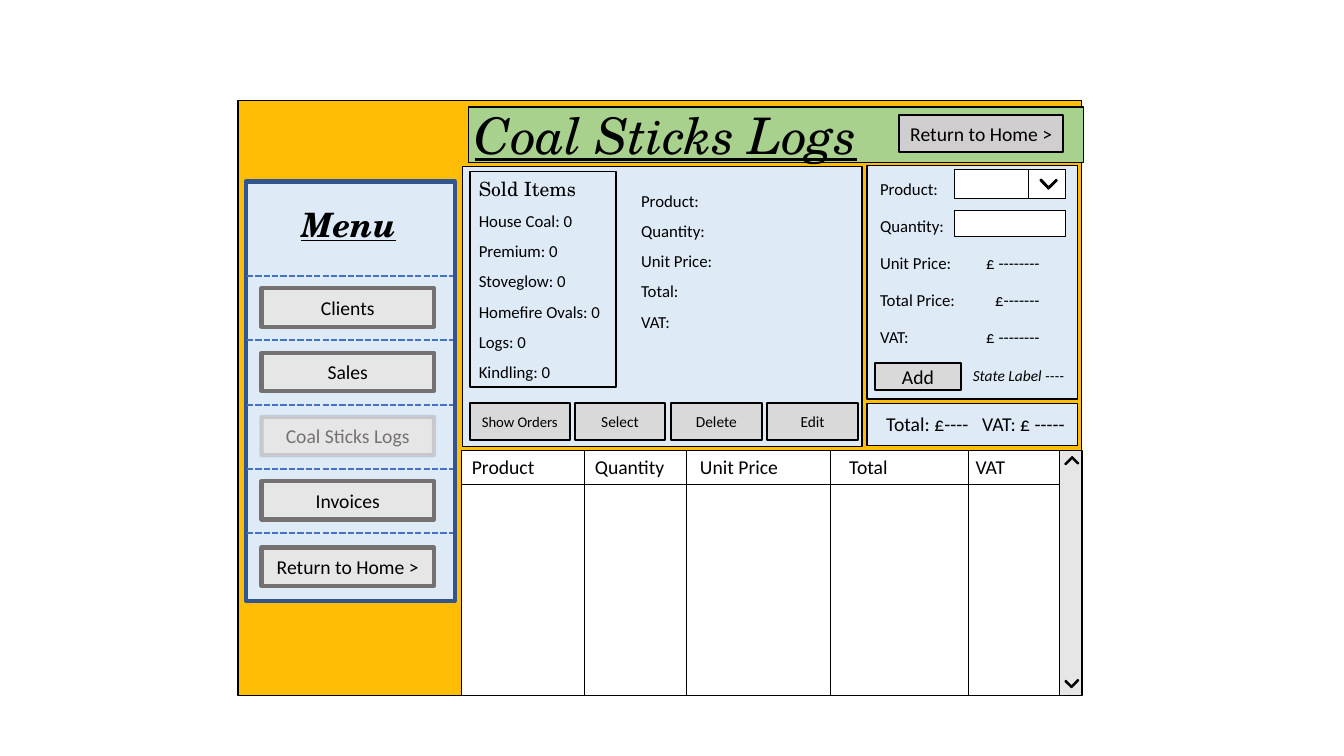
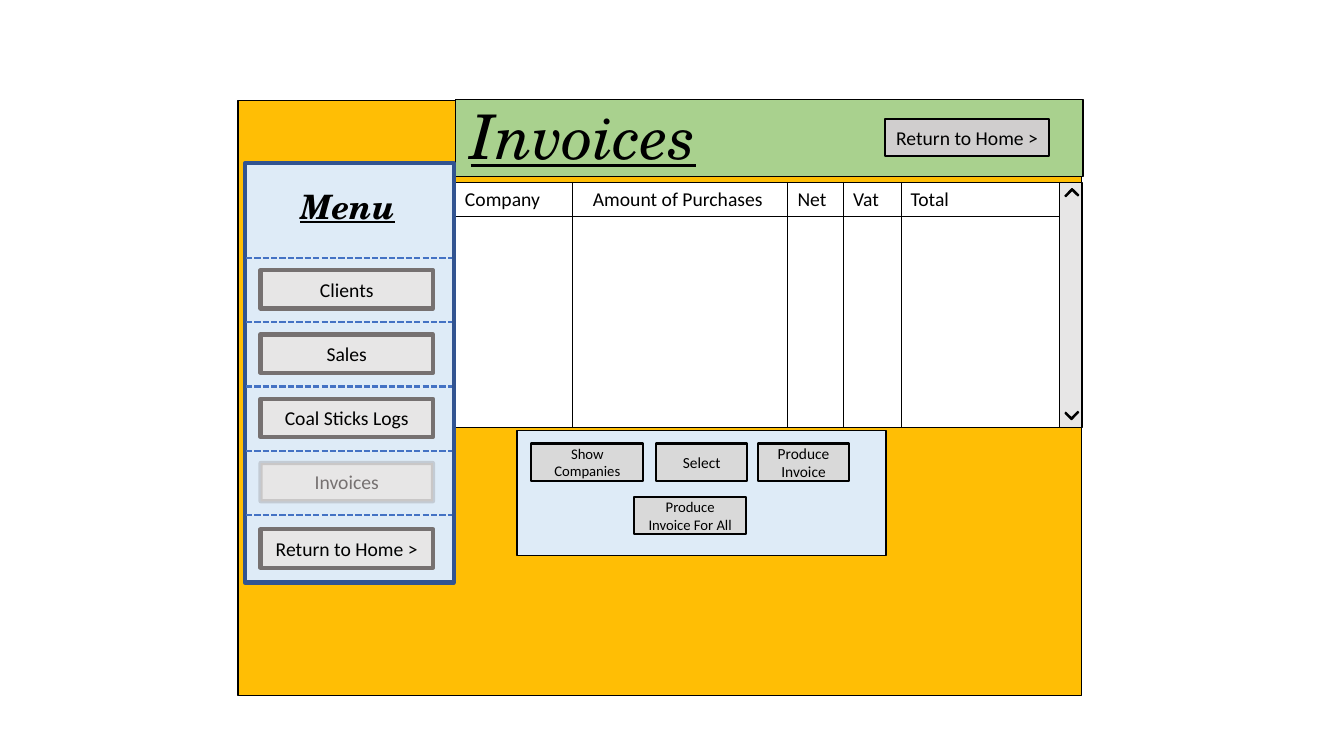
from itertools import pairwise

from lxml.etree import SubElement
from pptx import Presentation
from pptx.dml.color import RGBColor
from pptx.enum.dml import MSO_LINE
from pptx.enum.shapes import MSO_CONNECTOR, MSO_SHAPE
from pptx.enum.text import MSO_ANCHOR, PP_ALIGN
from pptx.oxml.ns import qn
from pptx.util import Inches, Pt

BLACK, WHITE = "000000", "FFFFFF"
AMBER, GREEN, PALE = "FFBE05", "A9D18E", "DEEBF7"
NAVY, BLUE = "325491", "4472C4"
GREY, SILVER, MIST, SLATE = "D9D9D9", "D0CECE", "E7E6E6", "767171"
SERIF, SANS = "TeX Gyre Schola", "Calibri"
LEFT, MID, RIGHT = PP_ALIGN.LEFT, PP_ALIGN.CENTER, PP_ALIGN.RIGHT

deck = Presentation()
deck.slide_width, deck.slide_height = Inches(13.33), Inches(7.5)
CELL = deck.slide_height / 90  # the grid has 160 columns and 90 rows


def box(page, at, fill=None, line=None, weight=1, text="", size=12, face=SANS,
        ink=BLACK, align=LEFT, lead=None, after=0, kind=MSO_SHAPE.RECTANGLE):
    """Add a shape, or a text box if there is no fill; at is in grid cells."""
    place = [round(n * CELL) for n in at]
    if fill:
        shape = page.shapes.add_shape(kind, *place)
        shape.shadow.inherit = False
        shape.fill.solid()
        shape.fill.fore_color.rgb = RGBColor.from_string(fill)
        if line:
            shape.line.color.rgb = RGBColor.from_string(line)
            shape.line.width = Pt(weight)
        else:
            shape.line.fill.background()
    else:
        shape = page.shapes.add_textbox(*place)
    if text:
        frame = shape.text_frame
        frame.word_wrap = True
        frame.text = text
        frame.vertical_anchor = MSO_ANCHOR.MIDDLE if align == MID else MSO_ANCHOR.TOP
        for para in frame.paragraphs:
            para.alignment = align
            para.space_after = Pt(after)
            if lead:
                para.line_spacing = Pt(lead)
            para.font.size, para.font.name = Pt(size), face
            para.font.color.rgb = RGBColor.from_string(ink)
    return shape


def rule(page, ends, ink=BLACK, weight=0.5):
    """Add a straight line from x, y to x, y in grid cells."""
    line = page.shapes.add_connector(MSO_CONNECTOR.STRAIGHT,
                                     *[round(n * CELL) for n in ends])
    line.line.color.rgb = RGBColor.from_string(ink)
    line.line.width = Pt(weight)
    SubElement(line._element.spPr, qn("a:effectLst"))
    return line


# title, title size, bar, title box, home button, menu corner,
# table top, column edges, (heading, inset) pairs
screens = [
    ("Coal Sticks Logs", 36, (55.8, 12.72, 73.2, 6.6), (55.32, 11.76, 59.52, 8.52),
     (107.04, 13.68), (29.28, 21.6),
     53.64, (54.96, 69.6, 81.72, 98.88, 115.32, 126.12),
     (("Product", 1.2), ("Quantity", 1.2), ("Unit Price", 1.6), ("Total", 2.2),
      ("VAT", 0.8))),
    ("Invoices", 44, (54.24, 11.88, 74.64, 9.12), (54.84, 11.04, 36, 10.08),
     (105.36, 14.16), (29.16, 19.44),
     21.72, (54.24, 68.16, 93.72, 100.44, 107.28, 126.12),
     (("Company", 1.1), ("Amount of Purchases", 2.4), ("Net", 1.2), ("Vat", 1.1),
      ("Total", 1.1))),
]
HEAD, BODY = 4.08, 25.08
MENU = ("Clients", "Sales", "Coal Sticks Logs", "Invoices", "Return to Home >")
pages = []

for title, size, bar, name, home, menu, top, edges, heads in screens:
    page = deck.slides.add_slide(deck.slide_layouts[6])
    pages.append(page)
    box(page, (28.32, 12, 100.44, 70.8), AMBER, BLACK)

    # Table
    place = [round(n * CELL) for n in (edges[0], top, edges[-1] - edges[0], HEAD + BODY)]
    table = page.shapes.add_table(2, len(heads), *place).table
    table.first_row = table.horz_banding = False
    for row, high in zip(table.rows, (HEAD, BODY)):
        row.height = round(high * CELL)
    for col, (start, end) in zip(table.columns, pairwise(edges)):
        col.width = round((end - start) * CELL)
    for cell in table.iter_cells():
        props = cell._tc.get_or_add_tcPr()
        for side in "LRTB":
            edge = SubElement(props, qn(f"a:ln{side}"), w=str(Pt(0.75)))
            paint = SubElement(edge, qn("a:solidFill"))
            SubElement(paint, qn("a:srgbClr"), val=BLACK)
        cell.fill.solid()
        cell.fill.fore_color.rgb = RGBColor.from_string(WHITE)
    for cell, (head, inset) in zip(table.rows[0].cells, heads):
        cell.text = head
        cell.margin_left, cell.margin_right = round(inset * CELL), 0
        font = cell.text_frame.paragraphs[0].font
        font.size, font.name = Pt(14), SANS
        font.color.rgb = RGBColor.from_string(BLACK)

    # Scroll bar
    box(page, (edges[-1], top, 2.64, HEAD + BODY), MIST, BLACK)
    for down, turn in ((1, 134.6), (26.88, 314.1)):
        arrow = box(page, (126.96, top + down, 1.2, 1.08), BLACK, BLACK,
                    kind=MSO_SHAPE.CORNER)
        arrow.rotation = turn
        arrow.adjustments[0], arrow.adjustments[1] = 0.12, 0.13

    # Header
    box(page, bar, GREEN, BLACK)
    font = box(page, name, text=title, size=size, face=SERIF).text_frame.paragraphs[0].font
    font.italic = font.underline = True
    box(page, (*home, 19.5, 4.44), SILVER, BLACK, 1.5, MENU[-1], 14, align=MID)

    # Menu
    x, y = menu
    box(page, (x, y, 24.84, 49.92), PALE, NAVY, 3)
    font = box(page, (x + 5.4, y + 2.04, 16.92, 7.08), PALE, text="Menu", size=24,
               face=SERIF).text_frame.paragraphs[0].font
    font.bold = font.italic = font.underline = True
    for i, item in enumerate(MENU):
        level = y + 11.28 + 7.65 * i
        rule(page, (x + 0.1, level, x + 24.6, level), BLUE, 1.5
             ).line.dash_style = MSO_LINE.SQUARE_DOT
        here = item == title
        drop = 1.7 if item == MENU[-1] else 1.45
        key = box(page, (x + 1.85, level + drop, 20.52, 4.56), MIST, SLATE, 3, item, 14,
                  ink=SLATE if here else BLACK, align=MID)
        if here:
            tint = key.line._ln.find(".//" + qn("a:srgbClr"))
            SubElement(tint, qn("a:alpha"), val="25000")

logs, bills = pages

# Sold items and order details
box(logs, (55.08, 19.8, 47.52, 33.36), PALE, BLACK)
box(logs, (55.92, 48, 11.88, 4.44), GREY, BLACK, 1.5, "Show Orders", 10.5, align=MID)
for i, word in enumerate(("Select", "Delete", "Edit")):
    box(logs, (68.4 + 11.46 * i, 48, 10.8, 4.44), GREY, BLACK, 1.5, word, 11, align=MID)
box(logs, (55.92, 20.4, 17.4, 25.68), PALE, BLACK)
goods = ("House Coal", "Premium", "Stoveglow", "Homefire Ovals", "Logs", "Kindling")
sold = "\n".join(["Sold Items"] + [f"{good}: 0" for good in goods])
font = box(logs, (55.8, 19.68, 17.88, 27.12), text=sold,
           lead=21.6).text_frame.paragraphs[0].font
font.size, font.name = Pt(14), SERIF
box(logs, (75.12, 20.88, 19.08, 19.68), lead=21.6,
    text="Product:\nQuantity:\nUnit Price:\nTotal:\nVAT:")

# Totals
box(logs, (103.2, 48, 25.08, 5.04), PALE, BLACK)
box(logs, (104.3, 48.48, 13, 4.08), text="Total: £----", size=14)
box(logs, (114.9, 48.48, 13, 4.08), text="VAT: £ -----", size=14, align=RIGHT)

# New order form
box(logs, (103.2, 19.68, 25.08, 27.84), PALE, BLACK)
box(logs, (103.56, 19.44, 14, 23.28), lead=21.6, after=5,
    text="Product:\nQuantity:\nUnit Price:\nTotal Price:\nVAT:")
box(logs, (110.92, 28.3, 14, 14), lead=21.6, after=5, align=RIGHT,
    text="£ --------\n£-------\n£ --------")
box(logs, (104.16, 43.2, 10.2, 3.24), GREY, BLACK, 1.5, "Add", 14, align=MID)
box(logs, (114.6, 42.96, 14.4, 3.48), text="State Label ----",
    size=11).text_frame.paragraphs[0].font.italic = True
box(logs, (113.64, 20.16, 13.2, 3.48), WHITE, BLACK)
box(logs, (113.64, 25.08, 13.2, 3.12), WHITE, BLACK)
rule(logs, (122.4, 20.16, 122.4, 23.64))
arrow = box(logs, (124.08, 20.76, 1.44, 1.44), PALE, BLACK, kind=MSO_SHAPE.CORNER)
arrow.rotation = 316
arrow.adjustments[0], arrow.adjustments[1] = 0.12, 0.13

# Invoice actions
box(bills, (61.56, 51.24, 43.92, 14.88), PALE, BLACK)
for x, y, wide, word, size in (
        (63.24, 52.8, 13.32, "Show Companies", 10.5),
        (78.12, 52.8, 10.8, "Select", 11),
        (90.24, 52.8, 10.8, "Produce Invoice", 11),
        (75.48, 59.16, 13.32, "Produce Invoice For All", 10.5)):
    box(bills, (x, y, wide, 4.44), GREY, BLACK, 1.5, word, size, align=MID)

deck.save("out.pptx")
